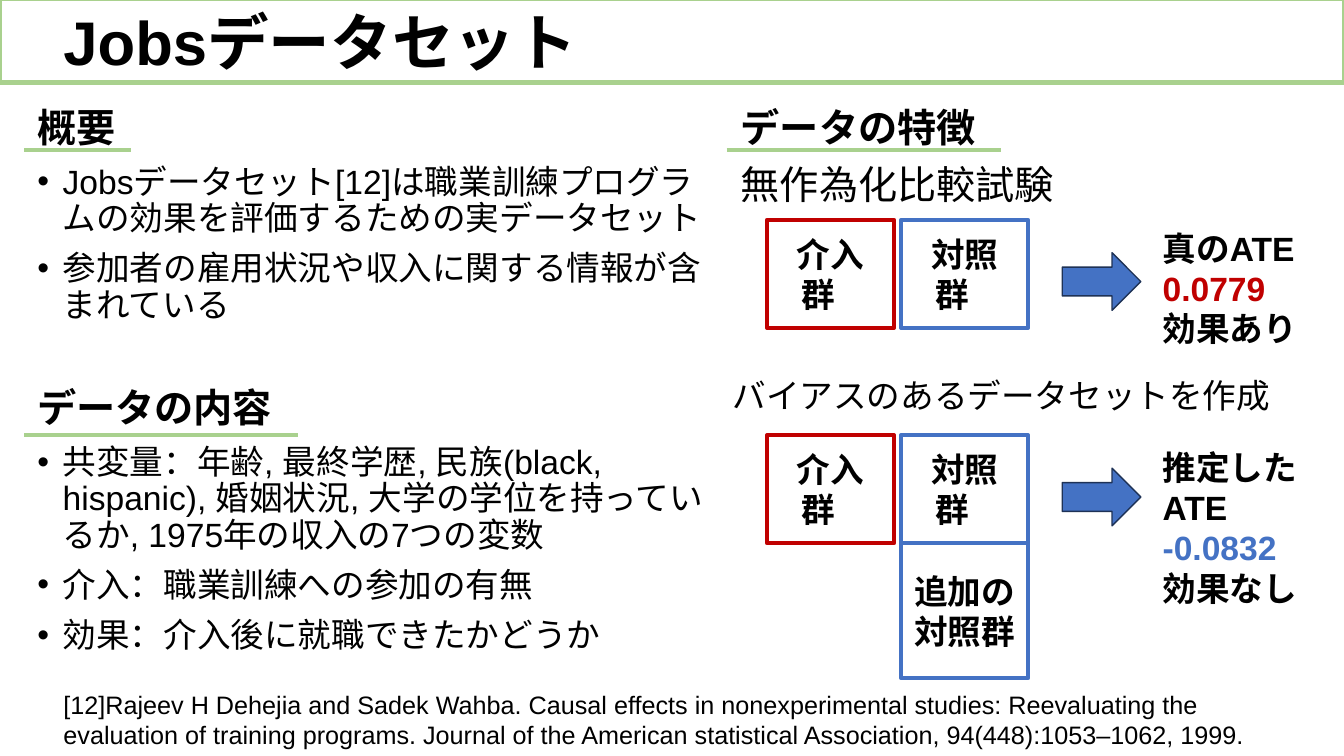
from lxml import etree
from pptx import Presentation
from pptx.dml.color import RGBColor
from pptx.enum.shapes import MSO_CONNECTOR, MSO_SHAPE
from pptx.enum.text import MSO_ANCHOR, PP_ALIGN
from pptx.oxml.ns import qn
from pptx.util import Cm, Pt

RECTANGLE, ARROW = MSO_SHAPE.RECTANGLE, MSO_SHAPE.RIGHT_ARROW
STRAIGHT = MSO_CONNECTOR.STRAIGHT
TOP, MIDDLE = MSO_ANCHOR.TOP, MSO_ANCHOR.MIDDLE
LEFT, CENTER = PP_ALIGN.LEFT, PP_ALIGN.CENTER

BLACK, WHITE, GREEN = "000000", "FFFFFF", "A9D18E"
RED, BLUE, NAVY = "C00000", "4472C4", "1E3256"

# Content: lengths in centimetres
TITLE = "Jobsデータセット"
# left, top, width, height, heading, underline (left, right, y), bullets, plain line
SECTIONS = [
    (0.69, 2.62, 17.65, 6.5, "概要", (0.61, 3.3, 3.78), [
        "Jobsデータセット[12]は職業訓練プログラムの効果を評価するための実データセット",
        "参加者の雇用状況や収入に関する情報が含まれている"], None),
    (0.69, 9.68, 17.65, 7.4, "データの内容", (0.61, 7.52, 10.97), [
        "共変量：年齢, 最終学歴, 民族(black, hispanic), 婚姻状況, "
        "大学の学位を持っているか, 1975年の収入の7つの変数",
        "介入：職業訓練への参加の有無",
        "効果：介入後に就職できたかどうか"], None),
    (18.42, 2.62, 15.04, 2.8, "データの特徴", (18.31, 25.22, 3.78), [],
     "無作為化比較試験"),
]
GROUPS = [(19.33, "介入群", RED), (22.71, "対照群", BLUE)]
# row top, result top, result height, result lines
EXPERIMENTS = [
    (5.54, 5.61, 3.33, [("真のATE", BLACK), ("0.0779", RED), ("効果あり", BLACK)]),
    (10.97, 11.13, 4.37, [("推定したATE", BLACK), ("-0.0832", BLUE), ("効果なし", BLACK)]),
]
BIAS_NOTE = "バイアスのあるデータセットを作成"
EXTRA_GROUP = ["追加の", "対照群"]
REFERENCE = (
    "[12]Rajeev H Dehejia and Sadek Wahba. Causal effects in nonexperimental studies: "
    "Reevaluating the evaluation of training programs. Journal of the American "
    "statistical Association, 94(448):1053–1062, 1999.")
BOX_WIDTH, BOX_HEIGHT, EXTRA_HEIGHT = 3.2, 2.72, 3.4

presentation = Presentation()
presentation.slide_width, presentation.slide_height = Cm(33.87), Cm(19.05)
slide = presentation.slides.add_slide(presentation.slide_layouts[6])


def color(value):
    return RGBColor.from_string(value)


def add_run(paragraph, text, size, bold=False, ink=BLACK):
    run = paragraph.add_run()
    run.text = text
    run.font.name, run.font.size, run.font.bold = "Arial", Pt(size), bold
    run.font.color.rgb = color(ink)


def add_block(shape, fill, line, weight):
    shape.shadow.inherit = False
    shape.fill.solid()
    shape.fill.fore_color.rgb = color(fill)
    shape.line.color.rgb = color(line)
    shape.line.width = Pt(weight)


def add_shape(kind, left, top, width, height, fill, line, weight=3):
    shape = slide.shapes.add_shape(kind, Cm(left), Cm(top), Cm(width), Cm(height))
    add_block(shape, fill, line, weight)
    return shape


def add_text(left, top, width, height, anchor=TOP):
    frame = slide.shapes.add_textbox(Cm(left), Cm(top), Cm(width), Cm(height)).text_frame
    frame.word_wrap = True
    frame.vertical_anchor = anchor
    return frame


def next_paragraph(frame, first):
    paragraph = frame.paragraphs[0] if first else frame.add_paragraph()
    paragraph.alignment = LEFT
    return paragraph


def add_bullet(paragraph):
    properties = paragraph._p.get_or_add_pPr()
    properties.set("marL", str(Cm(0.64)))
    properties.set("indent", str(-Cm(0.64)))
    etree.SubElement(properties, qn("a:buFont")).set("typeface", "Arial")
    etree.SubElement(properties, qn("a:buChar")).set("char", "•")


def add_underline(left, right, y):
    line = slide.shapes.add_connector(STRAIGHT, Cm(left), Cm(y), Cm(right), Cm(y))
    line.line.color.rgb = color(GREEN)
    line.line.width = Pt(3)
    etree.SubElement(line._element.spPr, qn("a:effectLst"))


def add_group_box(left, top, height, line):
    shape = add_shape(RECTANGLE, left, top, BOX_WIDTH, height, WHITE, line)
    shape.text_frame.word_wrap = True
    shape.text_frame.vertical_anchor = MIDDLE
    paragraph = shape.text_frame.paragraphs[0]
    paragraph.alignment = CENTER
    return paragraph


# Title band
add_shape(RECTANGLE, 0, -0.03, 33.87, 2.11, WHITE, GREEN)
title = add_text(1.35, -0.69, 29.21, 3.68, MIDDLE).paragraphs[0]
title.line_spacing = 0.9
add_run(title, TITLE, 44, True)

# Sections with underlined headings
for left, top, width, height, heading, underline, bullets, plain in SECTIONS:
    frame = add_text(left, top, width, height)
    add_run(next_paragraph(frame, True), heading, 28, True)
    for bullet in bullets:
        paragraph = next_paragraph(frame, False)
        add_run(paragraph, bullet, 24)
    if plain:
        add_run(next_paragraph(frame, False), plain, 28)
    for paragraph in frame.paragraphs:
        paragraph.line_spacing, paragraph.space_before = 0.9, Pt(10)
    for paragraph in frame.paragraphs[1:1 + len(bullets)]:
        add_bullet(paragraph)
    add_underline(*underline)

# Additional control group, below the second row
extra = add_group_box(GROUPS[1][0], EXPERIMENTS[1][0] + BOX_HEIGHT, EXTRA_HEIGHT, BLUE)
add_run(extra, EXTRA_GROUP[0], 24, True)
extra.add_line_break()
add_run(extra, EXTRA_GROUP[1], 24, True)

# Experiments: two groups, arrow, result
for top, result_top, result_height, result in EXPERIMENTS:
    for left, name, line in GROUPS:
        paragraph = add_group_box(left, top, BOX_HEIGHT, line)
        add_run(paragraph, name, 24, True)
        add_run(paragraph, "　", 18)
    add_shape(ARROW, 26.77, top + 0.83, 1.98, 1.45, BLUE, NAVY, 1)
    frame = add_text(29.05, result_top, 4.39, result_height)
    for index, (text, ink) in enumerate(result):
        add_run(next_paragraph(frame, index == 0), text, 24, True, ink)

# Note on bias and reference
add_run(add_text(18.21, 9.32, 15.44, 1.27).paragraphs[0], BIAS_NOTE, 24)
add_run(add_text(1.35, 17.25, 31.22, 1.8).paragraphs[0], REFERENCE, 18)

presentation.save("out.pptx")
